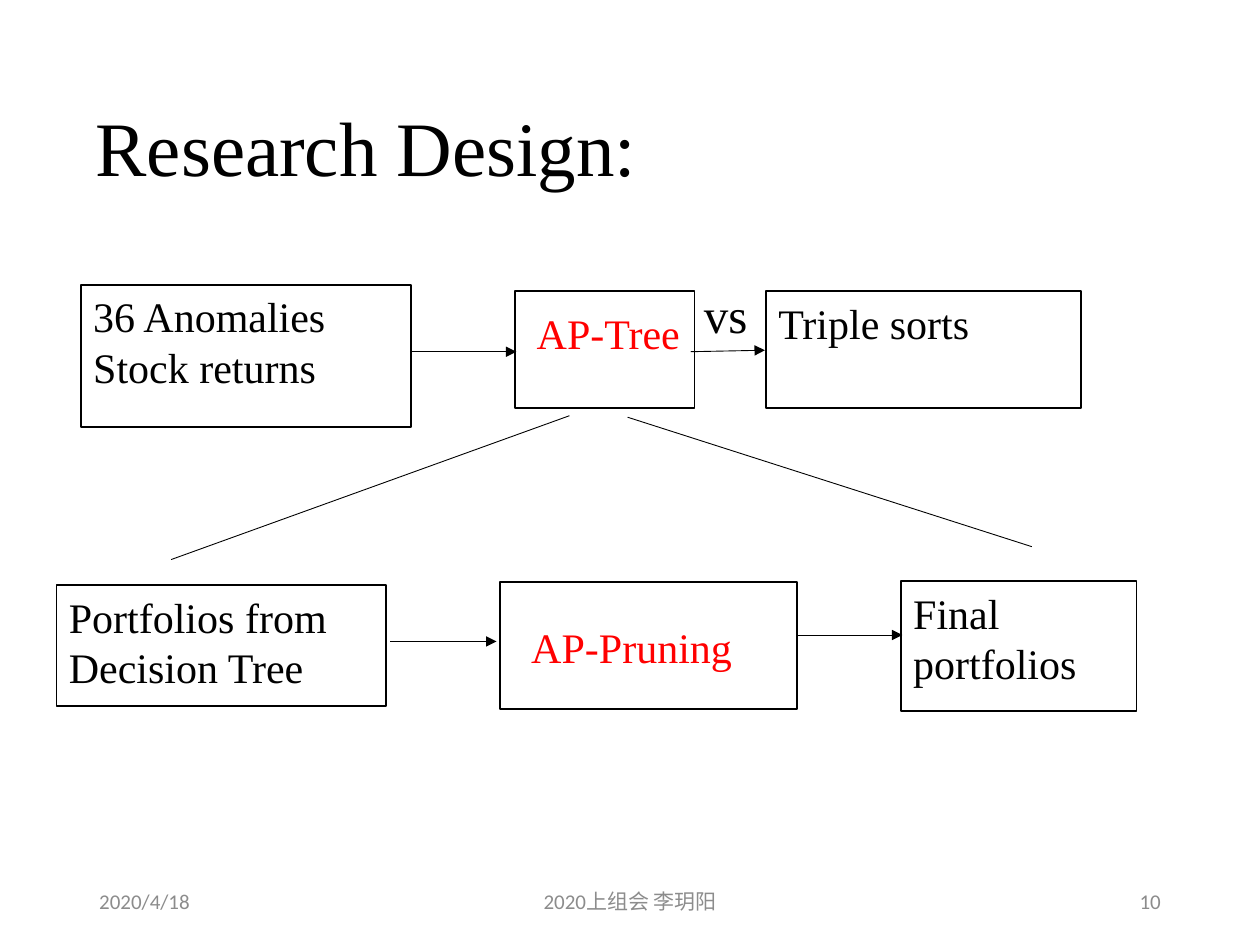
from typing import NamedTuple

from lxml.etree import SubElement
from pptx import Presentation
from pptx.dml.color import RGBColor
from pptx.enum.shapes import MSO_CONNECTOR, MSO_SHAPE
from pptx.enum.text import MSO_ANCHOR, PP_ALIGN
from pptx.oxml.ns import qn
from pptx.util import Cm, Pt

COLORS = {"ink": "000000", "accent": "FF0000", "footer": "8C8C8C"}


class Area(NamedTuple):
    left: float
    top: float
    width: float
    height: float

    def lengths(self) -> list[Cm]:
        return [Cm(value) for value in self]


class Label(NamedTuple):
    area: Area
    lines: list[str]
    size: float = 24
    color: str = "ink"
    font: str = "Times New Roman"
    anchor: MSO_ANCHOR = MSO_ANCHOR.TOP
    alignment: PP_ALIGN = PP_ALIGN.LEFT
    line_spacing: float = 1.0


class Box(NamedTuple):
    frame: Area
    label: Label


class Link(NamedTuple):
    start: tuple[float, float]
    end: tuple[float, float]
    arrow: bool = True


TITLE = Label(Area(1.68, 1.22, 21.89, 3.68), ["Research Design:"], size=44,
              anchor=MSO_ANCHOR.MIDDLE, line_spacing=0.9)
VERSUS = Label(Area(13.94, 5.61, 1.8, 1.45), ["vs"], size=28)

FOOTERS = [
    (1.75, 5.72, "2020/4/18", PP_ALIGN.LEFT),
    (8.41, 8.59, "2020上组会 李玥阳", PP_ALIGN.CENTER),
    (17.93, 5.72, "10", PP_ALIGN.RIGHT),
]

BOXES = [
    Box(Area(1.63, 5.74, 6.65, 2.87),
        Label(Area(1.63, 5.74, 6.65, 2.59), ["36 Anomalies", "Stock returns"])),
    Box(Area(10.39, 5.87, 3.61, 2.36),
        Label(Area(10.57, 6.07, 3.61, 0.99), ["AP-Tree"], color="accent")),
    Box(Area(15.44, 5.87, 6.35, 2.36),
        Label(Area(15.44, 5.87, 6.35, 1.27), ["Triple sorts"])),
    Box(Area(1.14, 11.79, 6.65, 2.44),
        Label(Area(1.14, 11.79, 6.65, 2.21), ["Portfolios from Decision Tree"])),
    Box(Area(10.08, 11.73, 5.99, 2.57),
        Label(Area(10.46, 12.4, 5.99, 1.22), ["AP-Pruning"], color="accent")),
    Box(Area(18.16, 11.71, 4.75, 2.62),
        Label(Area(18.16, 11.71, 4.8, 2.46), ["Final", "portfolios"])),
]

LINKS = [
    Link((8.28, 7.09), (10.41, 7.09)),
    Link((13.92, 7.09), (15.42, 7.06)),
    Link((7.87, 12.93), (10.01, 12.93)),
    Link((16.05, 12.8), (18.19, 12.8)),
    Link((11.48, 8.38), (3.45, 11.28), arrow=False),
    Link((12.65, 8.41), (20.8, 11.02), arrow=False),
]


def color_of(name: str) -> RGBColor:
    return RGBColor.from_string(COLORS[name])


def draw_label(shapes, label: Label) -> None:
    text_frame = shapes.add_textbox(*label.area.lengths()).text_frame
    text_frame.word_wrap = True
    text_frame.vertical_anchor = label.anchor
    for index, line in enumerate(label.lines):
        paragraph = text_frame.add_paragraph() if index else text_frame.paragraphs[0]
        paragraph.alignment = label.alignment
        paragraph.line_spacing = label.line_spacing
        run = paragraph.add_run()
        run.text = line
        run.font.name = label.font
        run.font.size = Pt(label.size)
        run.font.color.rgb = color_of(label.color)


def draw_box(shapes, box: Box) -> None:
    group = shapes.add_group_shape()
    shape = group.shapes.add_shape(MSO_SHAPE.RECTANGLE, *box.frame.lengths())
    shape.shadow.inherit = False
    shape.fill.background()
    shape.line.color.rgb = color_of("ink")
    shape.line.width = Pt(1)
    draw_label(group.shapes, box.label)


def draw_link(shapes, link: Link) -> None:
    ends = [Cm(value) for value in link.start + link.end]
    connector = shapes.add_connector(MSO_CONNECTOR.STRAIGHT, *ends)
    connector.line.color.rgb = color_of("ink")
    connector.line.width = Pt(0.5)
    properties = connector.element.spPr
    if link.arrow:
        SubElement(properties.find(qn("a:ln")), qn("a:tailEnd"), type="triangle")
    SubElement(properties, qn("a:effectLst"))


def main() -> None:
    presentation = Presentation()
    presentation.slide_width = Cm(25.4)
    presentation.slide_height = Cm(19.05)
    slide = presentation.slides.add_slide(presentation.slide_layouts[6])
    draw_label(slide.shapes, TITLE)
    for left, width, text, alignment in FOOTERS:
        draw_label(slide.shapes, Label(
            Area(left, 17.65, width, 1.02), [text], size=12, color="footer",
            font="Calibri", anchor=MSO_ANCHOR.MIDDLE, alignment=alignment))
    for box in BOXES:
        draw_box(slide.shapes, box)
    draw_label(slide.shapes, VERSUS)
    for link in LINKS:
        draw_link(slide.shapes, link)
    presentation.save("out.pptx")


if __name__ == "__main__":
    main()
